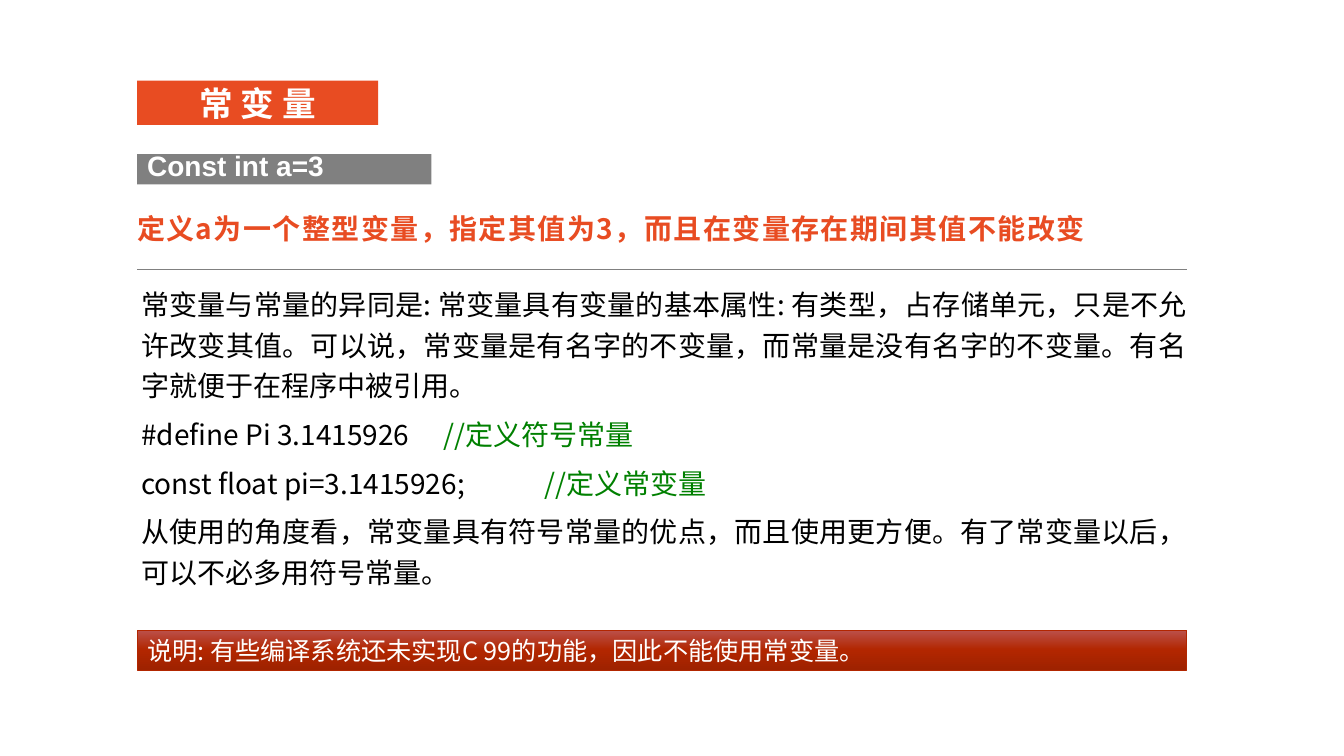
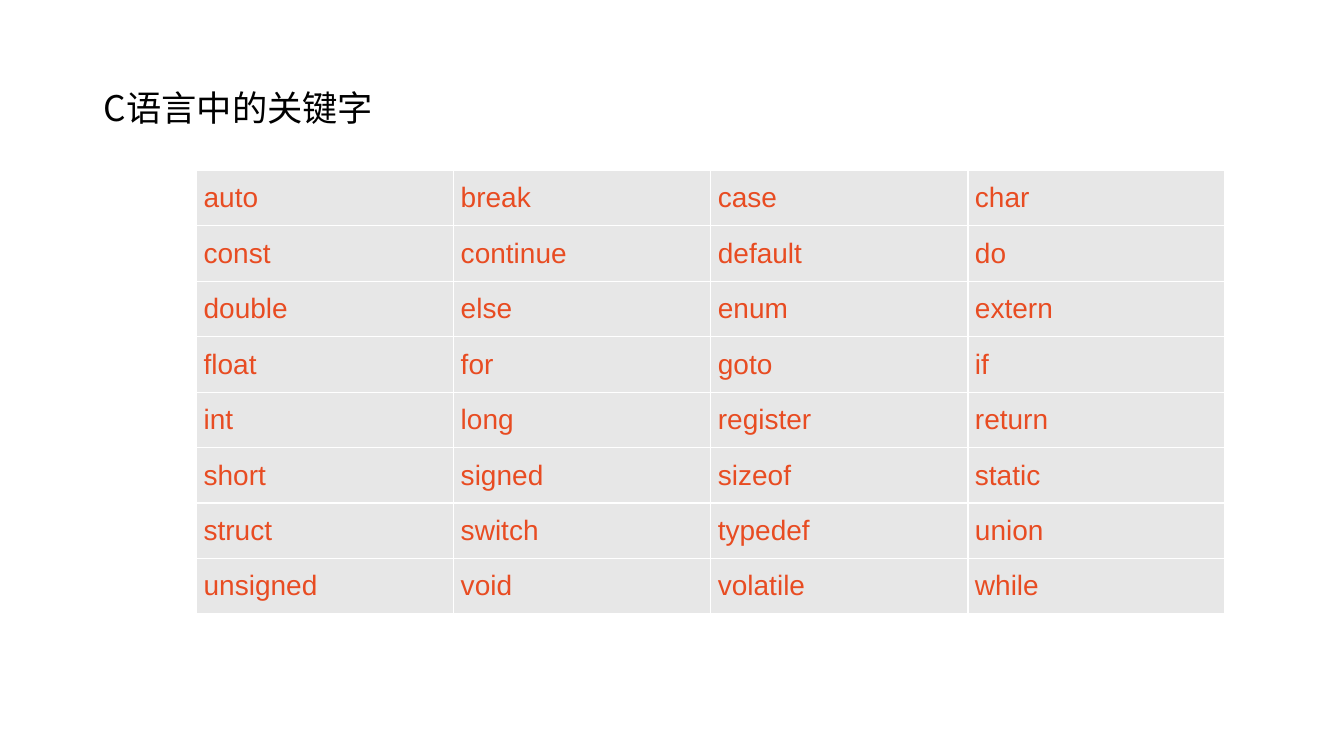
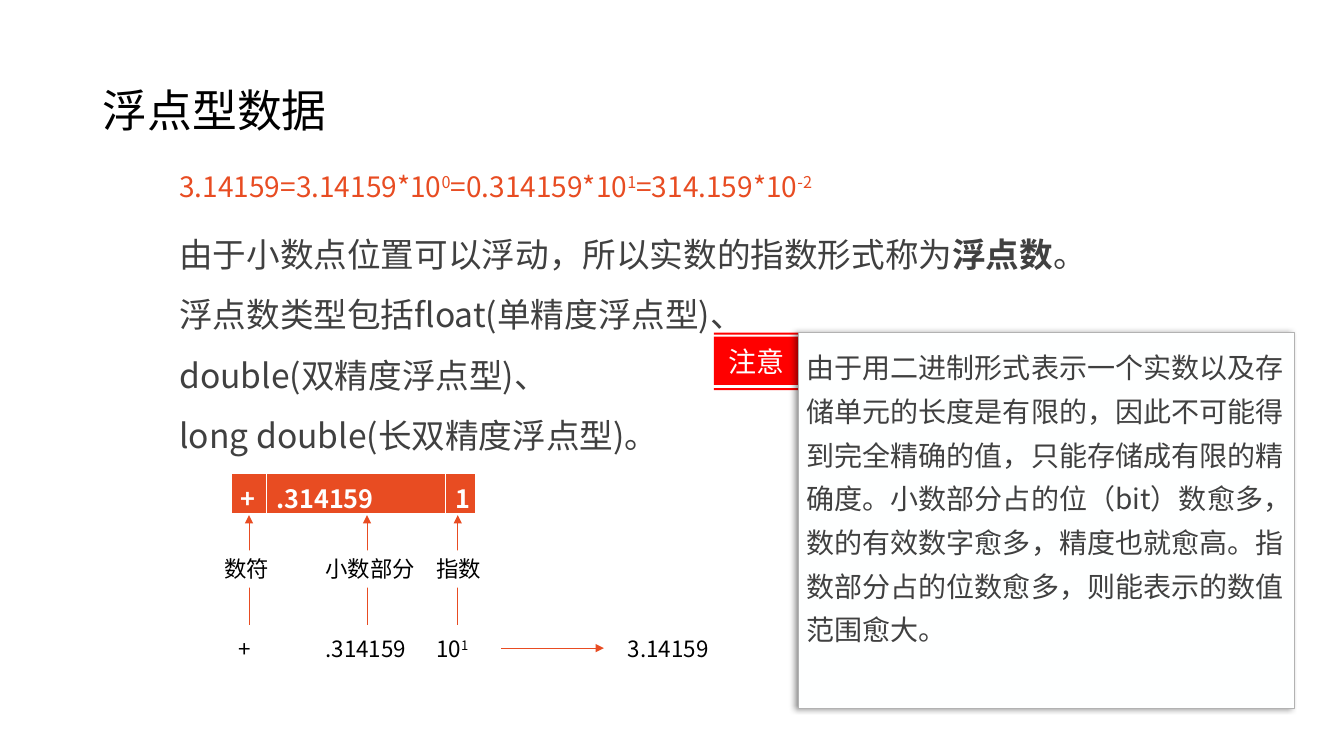
from dataclasses import dataclass
from typing import NamedTuple

from lxml import etree
from pptx import Presentation
from pptx import util as u
from pptx.dml.color import RGBColor
from pptx.enum import shapes, text
from pptx.oxml import parse_xml
from pptx.oxml.ns import nsdecls, qn

# Shared look
ORANGE = RGBColor(0xE8, 0x4C, 0x22)
GRAY = RGBColor(0x80, 0x80, 0x80)
PALE = RGBColor(0xE7, 0xE7, 0xE7)
EDGE = RGBColor(0xB2, 0xB2, 0xB2)
DARK = RGBColor(0x40, 0x40, 0x40)
GREEN = RGBColor(0x00, 0x80, 0x00)
RED = RGBColor(0xFF, 0x00, 0x00)
BRICK = RGBColor(0xB2, 0x26, 0x00)
BLACK = RGBColor(0x00, 0x00, 0x00)
WHITE = RGBColor(0xFF, 0xFF, 0xFF)
PAPER = RGBColor(0xFE, 0xFF, 0xFF)
HAN, LATIN = "Noto Sans CJK SC", "Arial"
LEFT, MID, JUST = text.PP_ALIGN.LEFT, text.PP_ALIGN.CENTER, text.PP_ALIGN.JUSTIFY
TOP, CENTER = text.MSO_ANCHOR.TOP, text.MSO_ANCHOR.MIDDLE
PAD = (0.1, 0.05, 0.1, 0.05)
FLUSH = (0, 0, 0, 0)


class Run(NamedTuple):
    text: str
    color: RGBColor | None = None
    bold: bool | None = None
    raised: bool = False


@dataclass(frozen=True)
class Style:
    size: float
    color: RGBColor
    bold: bool = False
    name: str = HAN
    align: text.PP_ALIGN = LEFT
    line: float | None = None
    after: float | None = None
    tabs: tuple = ()
    track: float = 0


@dataclass(frozen=True)
class Box:
    x: float
    y: float
    w: float
    h: float
    style: Style
    paras: tuple
    pad: tuple = PAD
    anchor: text.MSO_ANCHOR = TOP
    fill: RGBColor | None = None


# Text
def style_para(para, style: Style) -> None:
    props = para._p.get_or_add_pPr()
    if style.tabs:
        stops = etree.SubElement(props, qn("a:tabLst"))
        for tab in style.tabs:
            etree.SubElement(stops, qn("a:tab"), pos=str(u.Inches(tab)), algn="l")
    para.alignment = style.align
    if style.line:
        para.line_spacing = style.line
    if style.after:
        para.space_after = u.Pt(style.after)
    font = para.font
    font.size, font.bold, font.name = u.Pt(style.size), style.bold, style.name
    font.color.rgb = style.color
    base = props.find(qn("a:defRPr"))
    etree.SubElement(base, qn("a:ea"), typeface=style.name)
    if style.track:
        base.set("spc", str(int(style.track * 100)))


def write(frame, style: Style, paras: tuple) -> None:
    for i, runs in enumerate(paras):
        para = frame.add_paragraph() if i else frame.paragraphs[0]
        style_para(para, style)
        for part in (Run(runs),) if isinstance(runs, str) else runs:
            run = para.add_run()
            run.text = part.text
            if part.color is not None:
                run.font.color.rgb = part.color
            if part.bold is not None:
                run.font.bold = part.bold
            if part.raised:
                run._r.get_or_add_rPr().set("baseline", "30000")


def fill_frame(frame, box: Box) -> None:
    frame.word_wrap = True
    frame.vertical_anchor = box.anchor
    (frame.margin_left, frame.margin_top,
     frame.margin_right, frame.margin_bottom) = map(u.Inches, box.pad)
    write(frame, box.style, box.paras)


# Shapes
def add_box(slide, box: Box):
    place = [u.Inches(n) for n in (box.x, box.y, box.w, box.h)]
    if box.fill is None:
        shape = slide.shapes.add_textbox(*place)
    else:
        shape = slide.shapes.add_shape(shapes.MSO_SHAPE.RECTANGLE, *place)
        shape.shadow.inherit = False
        shape.fill.solid()
        shape.fill.fore_color.rgb = box.fill
        shape.line.fill.background()
    fill_frame(shape.text_frame, box)
    return shape


def outline(shape, color: RGBColor, width: float) -> None:
    shape.line.color.rgb = color
    shape.line.width = u.Pt(width)


def add_line(slide, start: tuple, end: tuple, color: RGBColor,
             width: float, arrow: bool = False) -> None:
    line = slide.shapes.add_connector(
        shapes.MSO_CONNECTOR.STRAIGHT, *[u.Inches(n) for n in start + end])
    outline(line, color, width)
    if arrow:
        etree.SubElement(line.line._get_or_add_ln(), qn("a:tailEnd"), type="triangle")
    etree.SubElement(line._element.spPr, qn("a:effectLst"))


def shade(shape, stops: tuple) -> None:
    shape.fill.gradient()
    shape.fill.gradient_angle = 270
    group = shape._element.spPr.find(qn("a:gradFill")).find(qn("a:gsLst"))
    for old in list(group):
        group.remove(old)
    for pos, color in stops:
        group.append(parse_xml(
            f'<a:gs {nsdecls("a")} pos="{pos * 1000}"><a:srgbClr val="{color}"/></a:gs>'))


def cast_shadow(shape) -> None:
    shape._element.spPr.find(qn("a:effectLst")).append(parse_xml(
        f'<a:outerShdw {nsdecls("a")} blurRad="{u.Pt(4)}" dist="{u.Pt(3)}" '
        'dir="10800000" algn="r" rotWithShape="0"><a:srgbClr val="000000">'
        '<a:alpha val="40000"/></a:srgbClr></a:outerShdw>'))


def add_grid(slide, x: float, y: float, cols: tuple, row: float, words: list,
             style: Style, fill: RGBColor, pad: tuple, anchor, base: float) -> None:
    grid = slide.shapes.add_table(
        len(words), len(cols), u.Inches(x), u.Inches(y),
        u.Inches(sum(cols)), u.Inches(row * len(words))).table
    grid.first_row = grid.horz_banding = False
    for col, width in zip(grid.columns, cols):
        col.width = u.Inches(width)
    for r, line in enumerate(words):
        grid.rows[r].height = u.Inches(row)
        for c, word in enumerate(line):
            cell = grid.cell(r, c)
            (cell.margin_left, cell.margin_top,
             cell.margin_right, cell.margin_bottom) = map(u.Inches, pad)
            cell.vertical_anchor = anchor
            cell.fill.solid()
            cell.fill.fore_color.rgb = fill
            write(cell.text_frame, style, (word,))
            for i, side in enumerate("LRTB"):
                width = base if side == "B" else 1
                cell._tc.get_or_add_tcPr().insert(i, parse_xml(
                    f'<a:ln{side} {nsdecls("a")} w="{u.Pt(width)}"><a:solidFill>'
                    f'<a:srgbClr val="{WHITE}"/></a:solidFill></a:ln{side}>'))


def add_title(slide, x: float, y: float, w: float, h: float,
              size: float, line: float, words: str) -> None:
    add_box(slide, Box(x, y, w, h, Style(size, BLACK, line=line), (words,), anchor=CENTER))


# Slide 1: const variables
def draw_const(slide) -> None:
    x, w = 1.36, 10.41
    add_box(slide, Box(x, 0.8, 2.39, 0.44, Style(24, WHITE, True, align=MID),
                       ("常 变 量",), FLUSH, CENTER, ORANGE))
    add_box(slide, Box(x, 1.53, 2.92, 0.3, Style(20, WHITE, True, LATIN, JUST),
                       ("Const int a=3",), (0.1, 0.05, 0.12, 0.12), CENTER, GRAY))
    add_line(slide, (x, 2.67), (x + w, 2.67), GRAY, 0.75)
    body = Style(20, BLACK, align=JUST, line=1.2, after=6, tabs=(3, 4))
    add_box(slide, Box(x, 2.67, w, 3.45, body, (
        "常变量与常量的异同是: 常变量具有变量的基本属性: 有类型，占存储单元，只是不允许改变其值。"
        "可以说，常变量是有名字的不变量，而常量是没有名字的不变量。有名字就便于在程序中被引用。",
        (Run("#define Pi 3.1415926\t"), Run("//定义符号常量", GREEN)),
        (Run("const float pi=3.1415926;\t"), Run("//定义常变量", GREEN)),
        "从使用的角度看，常变量具有符号常量的优点，而且使用更方便。"
        "有了常变量以后，可以不必多用符号常量。"), (0.04, 0.12, 0, 0)))
    add_box(slide, Box(x, 2.09, 10.46, 0.34, Style(20, ORANGE, True, track=1),
                       ("定义a为一个整型变量，指定其值为3，而且在变量存在期间其值不能改变",),
                       FLUSH, CENTER))
    note = add_box(slide, Box(x, 6.25, w, 0.4, Style(18, WHITE), (
        "说明: 有些编译系统还未实现C 99的功能，因此不能使用常变量。",), fill=BRICK))
    shade(note, ((0, "BB514B"), (50, "B22600"), (100, "9E2200")))
    outline(note, BRICK, 0.5)


# Slide 2: keyword table
KEYS = """auto break case char
const continue default do
double else enum extern
float for goto if
int long register return
short signed sizeof static
struct switch typedef union
unsigned void volatile while"""


def draw_keys(slide) -> None:
    add_title(slide, 0.93, 0.54, 3.03, 0.97, 25.2, 1.2, "C语言中的关键字")
    words = [line.split() for line in KEYS.splitlines()]
    add_grid(slide, 1.95, 1.69, (2.55,) * 4, 0.55, words,
             Style(20, ORANGE, name=LATIN, align=JUST), PALE,
             (0.07, 0, 0.07, 0), CENTER, 1)


# Slide 3: floating point
def draw_float(slide) -> None:
    add_title(slide, 0.92, 0.4, 11.5, 1.45, 32, 0.9, "浮点型数据")
    add_box(slide, Box(1.68, 1.63, 7.71, 0.44, Style(20, ORANGE, align=JUST), ((
        Run("3.14159=3.14159*10"), Run("0", raised=True),
        Run("=0.314159*10"), Run("1", raised=True),
        Run("=314.159*10"), Run("-2", raised=True)),)))
    add_box(slide, Box(1.68, 2.07, 10.48, 2.98, Style(24, DARK, line=1.5), (
        (Run("由于小数点位置可以浮动，所以实数的指数形式称为"),
         Run("浮点数", bold=True), Run("。")),
        "浮点数类型包括float(单精度浮点型)、",
        "double(双精度浮点型)、",
        "long double(长双精度浮点型)。")))

    # Storage diagram
    add_grid(slide, 2.29, 4.7, (0.35, 1.78, 0.3), 0.41, [["+", ".314159", "1"]],
             Style(18, WHITE, True, align=JUST), ORANGE, PAD, TOP, 3)
    for x in (2.47, 3.64, 4.54):
        add_line(slide, (x, 6.2), (x, 5.11), ORANGE, 0.5, True)
    add_box(slide, Box(2.13, 5.46, 2.96, 0.37, Style(16, BLACK, tabs=(1, 2.1)),
                       ("数符\t小数部分\t指数",), fill=WHITE))
    add_box(slide, Box(2.13, 6.25, 5.57, 0.37, Style(16, BLACK, tabs=(0.14, 1, 2.1, 4)), ((
        Run("\t+\t.314159\t10"), Run("1", raised=True), Run("\t3.14159")),), fill=WHITE))
    add_line(slide, (4.97, 6.43), (5.99, 6.43), ORANGE, 0.5, True)

    # Note with its ribbon
    left, right = u.Inches(7.08), u.Inches(7.92)
    path = slide.shapes.build_freeform(left, u.Inches(3.3))
    for i, (y, h) in enumerate(((3.3, 0.02), (3.34, 0.48), (3.85, 0.02))):
        top, foot = u.Inches(y), u.Inches(y + h)
        if i:
            path.move_to(left, top)
        path.add_line_segments(((right, top), (right, foot), (left, foot)), close=True)
    ribbon = path.convert_to_shape()
    ribbon.shadow.inherit = False
    ribbon.fill.solid()
    ribbon.fill.fore_color.rgb = RED
    ribbon.line.fill.background()
    fill_frame(ribbon.text_frame, Box(7.08, 3.3, 0.84, 0.57, Style(20, PAPER, align=MID),
                                      ("注意",), anchor=CENTER))
    note = add_box(slide, Box(7.92, 3.3, 4.92, 3.73, Style(20, DARK, line=1.3), (
        "由于用二进制形式表示一个实数以及存储单元的长度是有限的，因此不可能得到完全精确的值，"
        "只能存储成有限的精确度。小数部分占的位（bit）数愈多，数的有效数字愈多，精度也就愈高。"
        "指数部分占的位数愈多，则能表示的数值范围愈大。",), (0.08,) * 4, fill=PAPER))
    outline(note, EDGE, 0.75)
    cast_shadow(note)


def main() -> None:
    deck = Presentation()
    deck.slide_width, deck.slide_height = u.Inches(13.33), u.Inches(7.5)
    for draw in (draw_const, draw_keys, draw_float):
        draw(deck.slides.add_slide(deck.slide_layouts[6]))
    deck.save("out.pptx")


if __name__ == "__main__":
    main()
